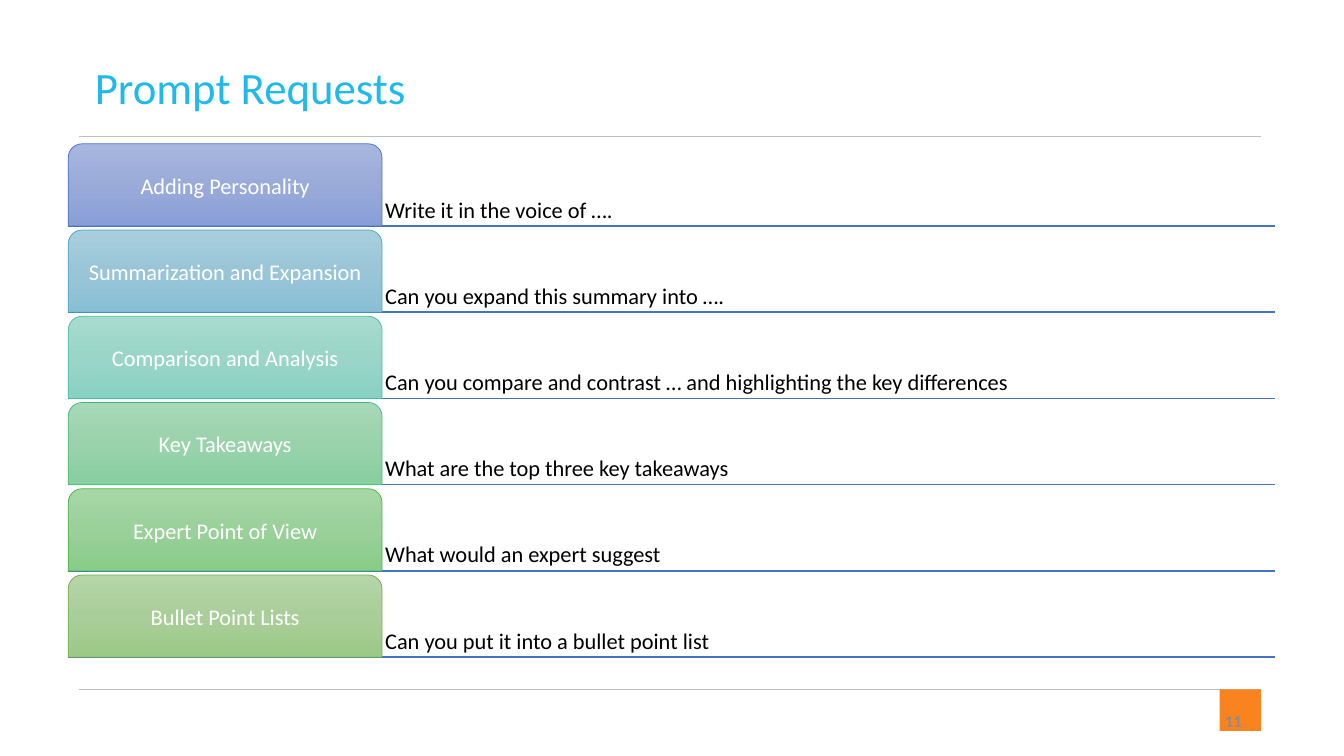
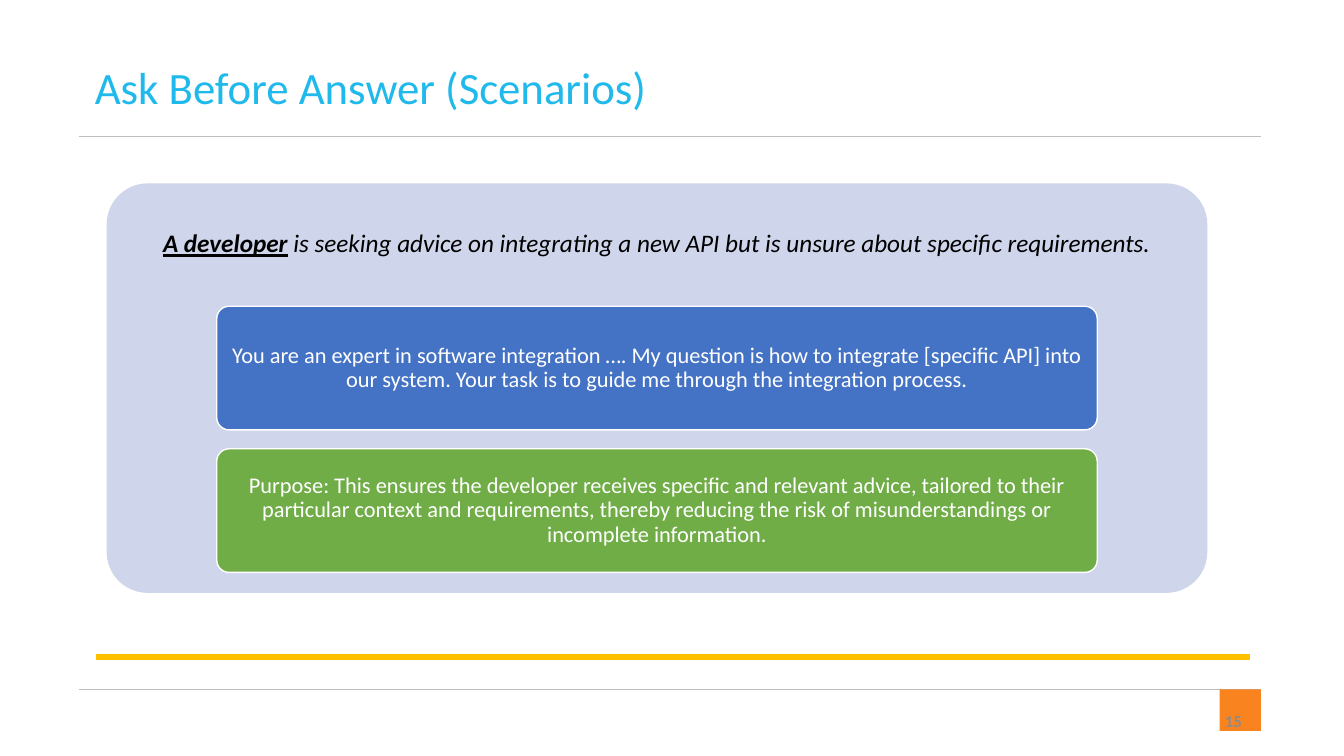
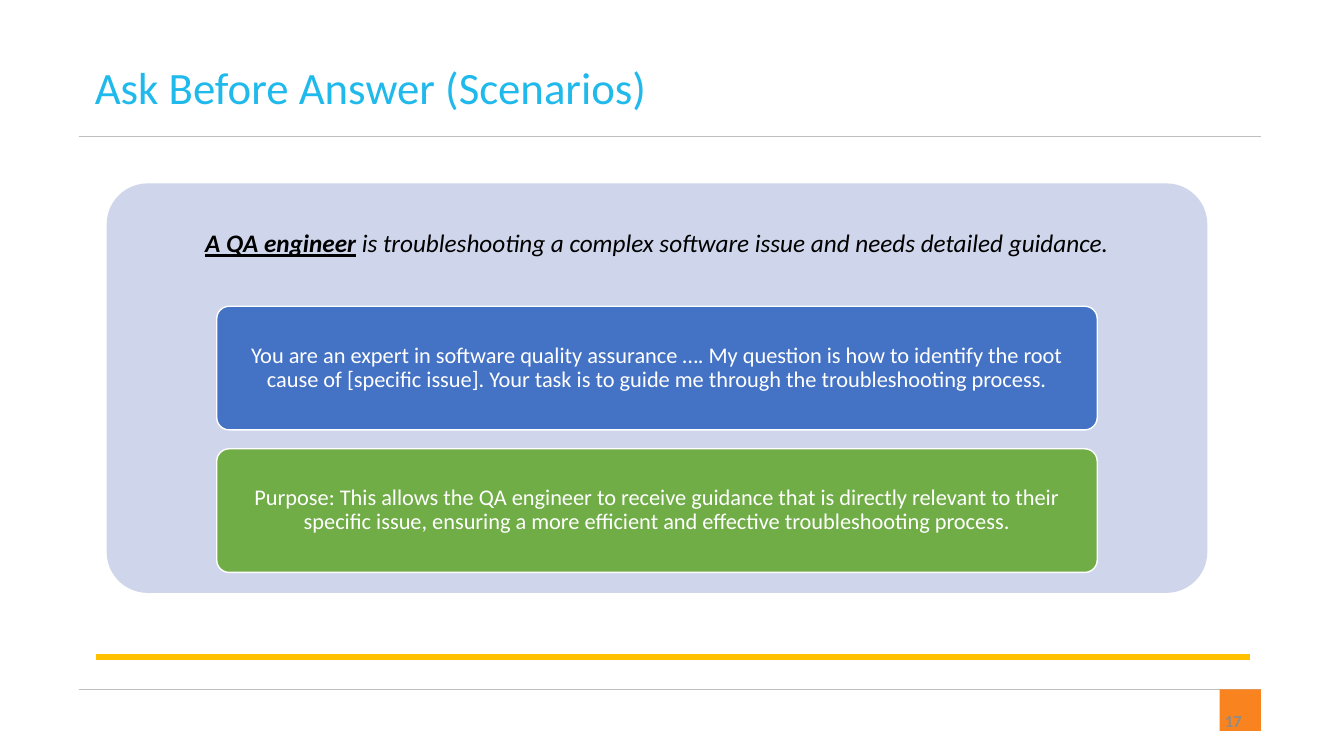
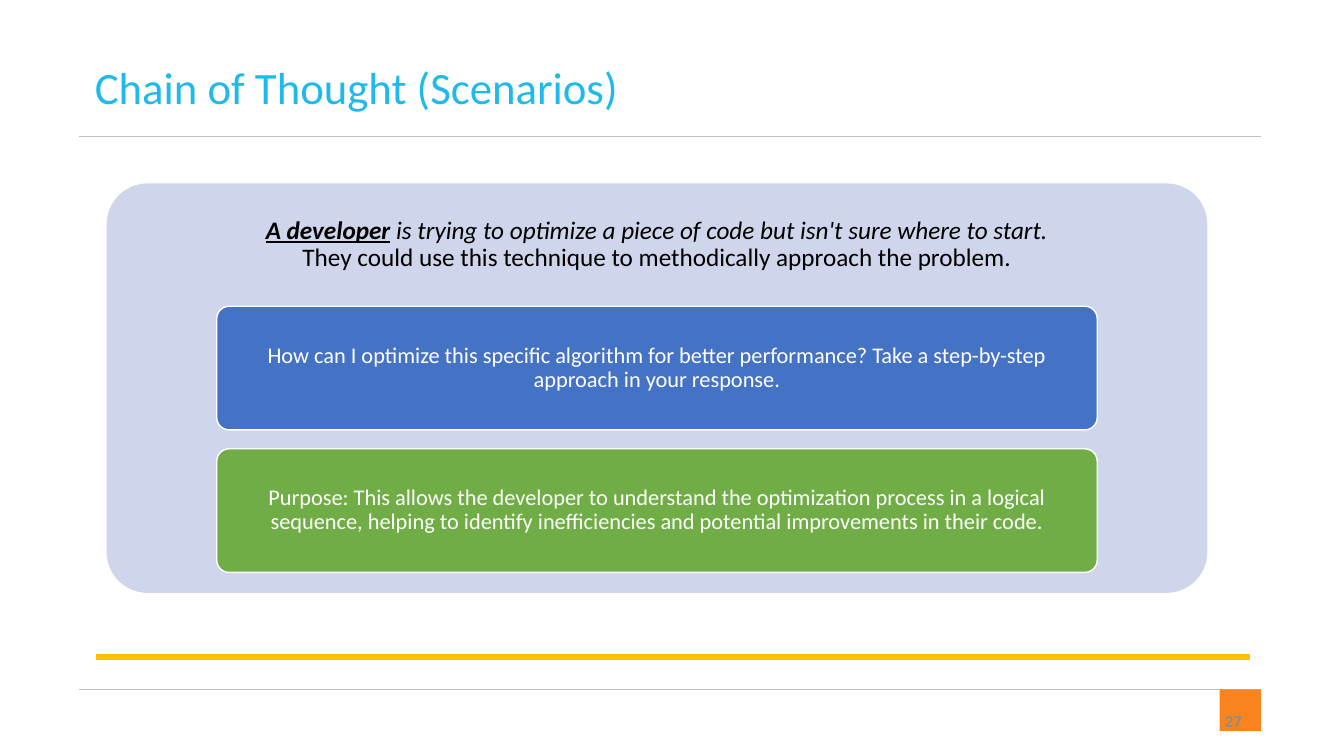
from copy import deepcopy
from dataclasses import dataclass

from lxml import etree
from pptx import Presentation
from pptx.dml.color import RGBColor
from pptx.enum.shapes import MSO_CONNECTOR, MSO_SHAPE
from pptx.enum.text import MSO_ANCHOR, MSO_AUTO_SIZE, PP_ALIGN
from pptx.oxml.ns import qn
from pptx.util import Pt

LEFT, CENTER, RIGHT = PP_ALIGN.LEFT, PP_ALIGN.CENTER, PP_ALIGN.RIGHT
TOP, MIDDLE, BOTTOM = MSO_ANCHOR.TOP, MSO_ANCHOR.MIDDLE, MSO_ANCHOR.BOTTOM
NO_FIT = MSO_AUTO_SIZE.NONE
STRAIGHT = MSO_CONNECTOR.STRAIGHT
RECT = MSO_SHAPE.RECTANGLE
ROUNDED = MSO_SHAPE.ROUNDED_RECTANGLE
TAB_SHAPE = MSO_SHAPE.ROUND_2_SAME_RECTANGLE
TITLE_ONLY = 5


@dataclass(frozen=True)
class Theme:
    font: str = "Calibri"
    title: str = "20B9EC"
    rule: str = "BFBFBF"
    badge: str = "F9831F"
    number: str = "8C8C8C"
    accent: str = "FFC000"
    panel: str = "CFD5EA"
    blue: str = "4472C4"
    green: str = "70AD47"
    white: str = "FFFFFF"
    black: str = "000000"
    title_size: int = 32
    statement_size: int = 18
    body_size: int = 16
    number_size: int = 12
    line_spacing: float = 0.9


THEME = Theme()

# Boxes are left, top, width, height in points
TITLE_BOX = (60.5, 38.9, 861.8, 46)
NUMBER_BOX = (678.2, 500.4, 216, 28.8)
BADGE_BOX = (871.2, 492.5, 29.5, 29.5)
REQUESTS_BOX = (48.8, 102.7, 862, 366.7)
SCENARIO_BOX = (76.2, 131, 786.2, 292.5)
RULE_LEFT, RULE_RIGHT = 56.2, 900.7
RULE_TOPS = (97.2, 492.5)

# Label, request, gradient stops, outline
REQUESTS = [
    ("Adding Personality", "Write it in the voice of ….",
     ("A8B7DF", "9AABD9", "889ED7"), THEME.blue),
    ("Summarization and Expansion", "Can you expand this summary into ….",
     ("A8CEDD", "9AC5D7", "88BFD5"), "44A3C0"),
    ("Comparison and Analysis",
     "Can you compare and contrast … and highlighting the key differences",
     ("A8DBD0", "9AD5C8", "87D2C2"), "43BDA7"),
    ("Key Takeaways", "What are the top three key takeaways",
     ("A7D9B8", "9AD2AC", "87CF9F"), "44B874"),
    ("Expert Point of View", "What would an expert suggest",
     ("A7D7A7", "9AD09A", "87CC87"), "46B246"),
    ("Bullet Point Lists", "Can you put it into a bullet point list",
     ("B5D5A7", "AACE9A", "9CC987"), THEME.green),
]

# Title, page number, role, situation, follow-up line, prompt, purpose
SCENARIOS = [
    ("Ask Before Answer (Scenarios)", 15, "A developer",
     " is seeking advice on integrating a new API but is unsure about specific requirements.", "",
     "You are an expert in software integration …. My question is how to integrate [specific API] "
     "into our system. Your task is to guide me through the integration process.",
     "Purpose: This ensures the developer receives specific and relevant advice, tailored to their "
     "particular context and requirements, thereby reducing the risk of misunderstandings or "
     "incomplete information."),
    ("Ask Before Answer (Scenarios)", 17, "A QA engineer",
     " is troubleshooting a complex software issue and needs detailed guidance.", "",
     "You are an expert in software quality assurance …. My question is how to identify the root "
     "cause of [specific issue]. Your task is to guide me through the troubleshooting process.",
     "Purpose: This allows the QA engineer to receive guidance that is directly relevant to their "
     "specific issue, ensuring a more efficient and effective troubleshooting process."),
    ("Chain of Thought (Scenarios)", 27, "A developer",
     " is trying to optimize a piece of code but isn't sure where to start.",
     "They could use this technique to methodically approach the problem.",
     "How can I optimize this specific algorithm for better performance? Take a step-by-step "
     "approach in your response.",
     "Purpose: This allows the developer to understand the optimization process in a logical "
     "sequence, helping to identify inefficiencies and potential improvements in their code."),
]


def points(*values):
    return [Pt(value) for value in values]


def rgb(color):
    return RGBColor.from_string(color)


def format_span(span, size, color, bold=False, italic=False, underline=False):
    font = span.font
    font.name, font.size = THEME.font, Pt(size)
    font.bold, font.italic, font.underline = bold, italic, underline
    font.color.rgb = rgb(color)


def set_frame(frame, anchor, insets):
    """Insets are horizontal and vertical."""
    frame.word_wrap = True
    frame.auto_size = NO_FIT
    frame.vertical_anchor = anchor
    frame.margin_left = frame.margin_right = Pt(insets[0])
    frame.margin_top = frame.margin_bottom = Pt(insets[1])


def write(shape, text, size, color, align=LEFT, anchor=MIDDLE, insets=(7.2, 3.6),
          spacing=1.0, bold=False):
    frame = shape.text_frame
    frame.text = text
    set_frame(frame, anchor, insets)
    para = frame.paragraphs[0]
    para.alignment, para.line_spacing = align, spacing
    format_span(para.runs[0], size, color, bold)


def add_line(page, left, right, top, color, width):
    line = page.shapes.add_connector(STRAIGHT, *points(left, top, right, top))
    line.line.color.rgb = rgb(color)
    line.line.width = Pt(width)
    etree.SubElement(line.element.spPr, qn("a:effectLst"))


def add_block(page, kind, box, fill=None, outline=None, width=1):
    block = page.shapes.add_shape(kind, *points(*box))
    block.shadow.inherit = False
    if fill:
        block.fill.solid()
        block.fill.fore_color.rgb = rgb(fill)
    if outline:
        block.line.color.rgb = rgb(outline)
        block.line.width = Pt(width)
    else:
        block.line.fill.background()
    return block


def fill_gradient(shape, colors):
    """Fill from top to bottom with three evenly spaced stops."""
    shape.fill.gradient()
    stop_list = shape.element.find(".//" + qn("a:gsLst"))
    stop_list.insert(1, deepcopy(stop_list[0]))
    for index, (stop, color) in enumerate(zip(shape.fill.gradient_stops, colors)):
        stop.position = index / 2
        stop.color.rgb = rgb(color)
    shape.fill.gradient_angle = 270


def add_page(deck, title, number):
    page = deck.slides.add_slide(deck.slide_layouts[TITLE_ONLY])
    for top in RULE_TOPS:
        add_line(page, RULE_LEFT, RULE_RIGHT, top, THEME.rule, 0.5)
    add_block(page, RECT, BADGE_BOX, THEME.badge)
    number_box = page.shapes.add_textbox(*points(*NUMBER_BOX))
    write(number_box, str(number), THEME.number_size, THEME.number, RIGHT, bold=True)
    heading = page.shapes.title
    heading.left, heading.top, heading.width, heading.height = points(*TITLE_BOX)
    write(heading, title, THEME.title_size, THEME.title, anchor=TOP)
    return page


def add_request_rows(page, box):
    left, top, width, height = box
    gap = 2.9
    row_height = (height - gap * (len(REQUESTS) - 1)) / len(REQUESTS)
    tab_width = width * 0.26
    style = {"insets": (2.2, 2.2), "spacing": THEME.line_spacing}
    for index, (label, request, colors, outline) in enumerate(REQUESTS):
        row_top = top + index * (row_height + gap)
        add_line(page, left, left + width, row_top + row_height, THEME.blue, 1)
        request_box = page.shapes.add_textbox(
            *points(left + tab_width, row_top, width - tab_width, row_height))
        write(request_box, request, THEME.body_size, THEME.black, anchor=BOTTOM, **style)
        tab = add_block(page, TAB_SHAPE, (left, row_top, tab_width, row_height),
                        outline=outline, width=0.5)
        fill_gradient(tab, colors)
        write(tab, label, THEME.body_size, THEME.white, CENTER, **style)


def add_statement(page, box, role, situation, follow_up):
    statement = page.shapes.add_textbox(*points(*box))
    set_frame(statement.text_frame, MIDDLE, (5, 5))
    para = statement.text_frame.paragraphs[0]
    para.text = role
    para.alignment, para.line_spacing = CENTER, THEME.line_spacing
    format_span(para.runs[0], THEME.statement_size, THEME.black, True, True, True)
    span = para.add_run()
    span.text = situation
    format_span(span, THEME.statement_size, THEME.black, italic=True)
    if follow_up:
        para.add_line_break()
        span = para.add_run()
        span.text = follow_up
        format_span(span, THEME.statement_size, THEME.black)


def add_scenario(page, box, role, situation, follow_up, prompt, purpose):
    """Panel with a statement in its top 30 % and two cards in the next 65 %."""
    left, top, width, height = box
    panel = add_block(page, ROUNDED, box, THEME.panel)
    panel.adjustments[0] = 0.1
    add_statement(page, (left, top, width, height * 0.3), role, situation, follow_up)
    gap = 13.5
    card_height = (height * 0.65 - gap) / 2
    for index, (text, color) in enumerate([(prompt, THEME.blue), (purpose, THEME.green)]):
        card_top = top + height * 0.3 + index * (card_height + gap)
        card = add_block(page, ROUNDED, (left + width * 0.1, card_top, width * 0.8, card_height),
                         color, THEME.white)
        card.adjustments[0] = 0.1
        write(card, text, THEME.body_size, THEME.white, CENTER, insets=(3, 2.3),
              spacing=THEME.line_spacing)


def main():
    deck = Presentation()
    deck.slide_width, deck.slide_height = points(960, 540)
    add_request_rows(add_page(deck, "Prompt Requests", 11), REQUESTS_BOX)
    for title, number, *content in SCENARIOS:
        page = add_page(deck, title, number)
        add_line(page, 68.4, 892.8, 469.4, THEME.accent, 4.5)
        add_scenario(page, SCENARIO_BOX, *content)
    deck.save("out.pptx")


if __name__ == "__main__":
    main()
